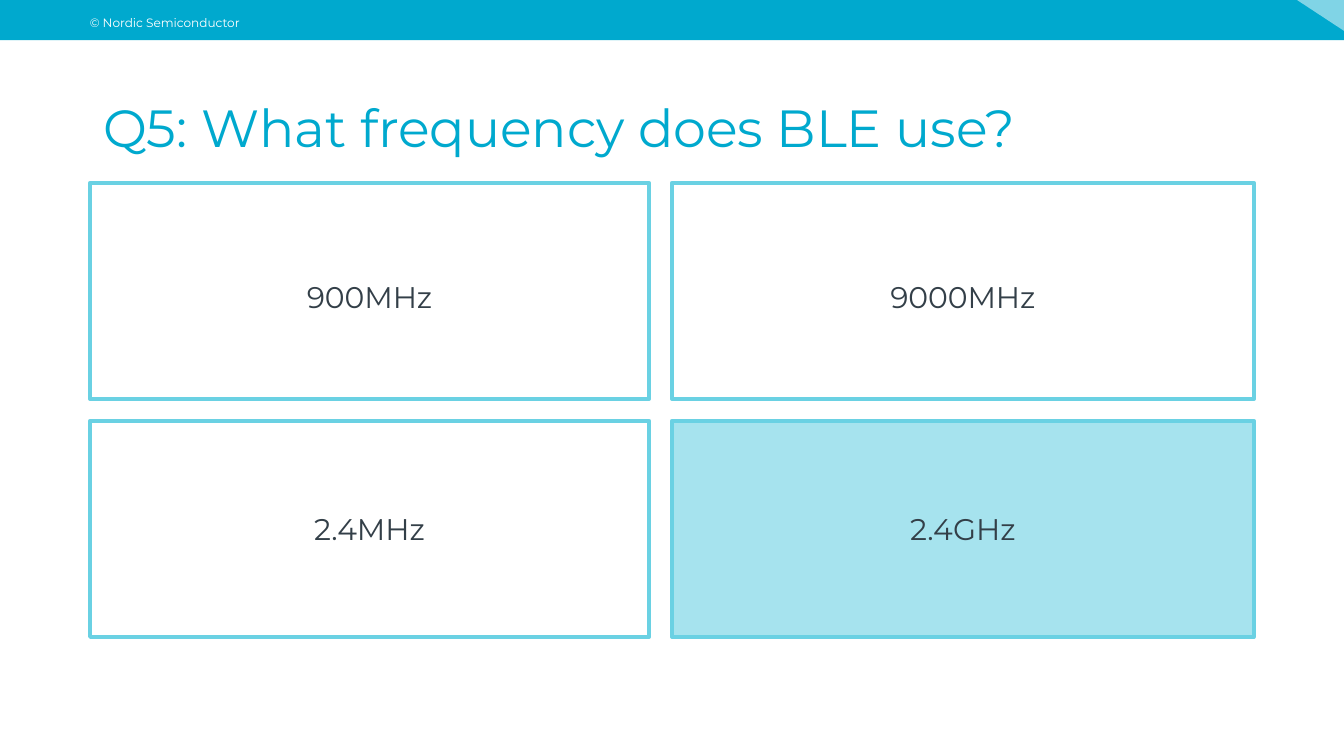
import pptx
import pptx.dml.color
import pptx.enum.shapes
import pptx.enum.text
import pptx.oxml
import pptx.oxml.ns
import pptx.util

WIDTH = 10
HEIGHT = WIDTH * 9 / 16
FONT = "Montserrat"
BLUE, AQUA, PALE_AQUA = "00A9CE", "6AD1E3", "A6E3EE"
WHITE, SLATE = "FFFFFF", "333F48"

# Answer grid: two columns inside the margins, two equal rows
MARGIN, GAP = 0.67, 0.17
MIDDLE = WIDTH / 2
COLUMNS = [(MARGIN, MIDDLE - GAP - MARGIN), (MIDDLE, WIDTH - MARGIN - MIDDLE)]
ROW_TOP, ROW_HEIGHT, ROW_STEP = 1.36, 1.61, 1.77
ANSWERS = [["900MHz", "9000MHz"], ["2.4MHz", "2.4GHz"]]
ROW_SPACING = [1.3, 1.0]
CORRECT = "2.4GHz"


def inches(*lengths):
    return [pptx.util.Inches(length) for length in lengths]


def paint(color_format, color):
    color_format.rgb = pptx.dml.color.RGBColor.from_string(color)


def fill_shape(shape, color, border=None):
    shape.shadow.inherit = False
    shape.fill.solid()
    paint(shape.fill.fore_color, color)
    if border:
        paint(shape.line.color, border)
        shape.line.width = pptx.util.Pt(2)
    else:
        shape.line.fill.background()


def write(shape, text, size, color, spacing):
    shape.text_frame.word_wrap = True
    paragraph = shape.text_frame.paragraphs[0]
    paragraph.text = text
    paragraph.line_spacing = spacing
    font = paragraph.runs[0].font
    font.name = FONT
    font.size = pptx.util.Pt(size)
    paint(font.color, color)
    return paragraph


def add_rectangle(slide, box, color, border=None):
    rectangle = slide.shapes.add_shape(
        pptx.enum.shapes.MSO_SHAPE.RECTANGLE, *inches(*box))
    fill_shape(rectangle, color, border)
    return rectangle


def add_label(slide, box, text, size, color, spacing):
    label = slide.shapes.add_textbox(*inches(*box))
    write(label, text, size, color, spacing)


def add_corner(slide, width, height):
    """Half-transparent triangle in the top right corner."""
    outline = slide.shapes.build_freeform(
        *inches(WIDTH - width, 0), scale=1.0)
    outline.add_line_segments(
        [inches(WIDTH, 0), inches(WIDTH, height)], close=True)
    corner = outline.convert_to_shape()
    fill_shape(corner, WHITE)
    tint = corner.fill._xPr.find(".//" + pptx.oxml.ns.qn("a:srgbClr"))
    tint.append(pptx.oxml.parse_xml(
        f'<a:alpha {pptx.oxml.ns.nsdecls("a")} val="50000"/>'))


def add_answer(slide, box, text, spacing):
    color = PALE_AQUA if text == CORRECT else WHITE
    answer = add_rectangle(slide, box, color, AQUA)
    answer.text_frame.vertical_anchor = pptx.enum.text.MSO_ANCHOR.MIDDLE
    paragraph = write(answer, text, 16, SLATE, spacing)
    paragraph.alignment = pptx.enum.text.PP_ALIGN.CENTER


def main():
    deck = pptx.Presentation()
    deck.slide_width, deck.slide_height = inches(WIDTH, HEIGHT)
    slide = deck.slides.add_slide(deck.slide_layouts[6])

    # Header band
    add_rectangle(slide, (0, 0, WIDTH, 0.3), BLUE)
    add_label(slide, (0.57, 0.04, 3.63, 0.29),
              "© Nordic Semiconductor", 6.5, WHITE, 1.2)
    add_corner(slide, 0.35, 0.23)

    # Question
    add_label(slide, (MARGIN, 0.64, WIDTH - 2 * MARGIN, 0.56),
              "Q5: What frequency does BLE use?", 28, BLUE, pptx.util.Pt(35))

    # Answers
    for row, (texts, spacing) in enumerate(zip(ANSWERS, ROW_SPACING)):
        top = ROW_TOP + row * ROW_STEP
        for (left, width), text in zip(COLUMNS, texts):
            add_answer(slide, (left, top, width, ROW_HEIGHT), text, spacing)

    deck.save("out.pptx")


if __name__ == "__main__":
    main()
